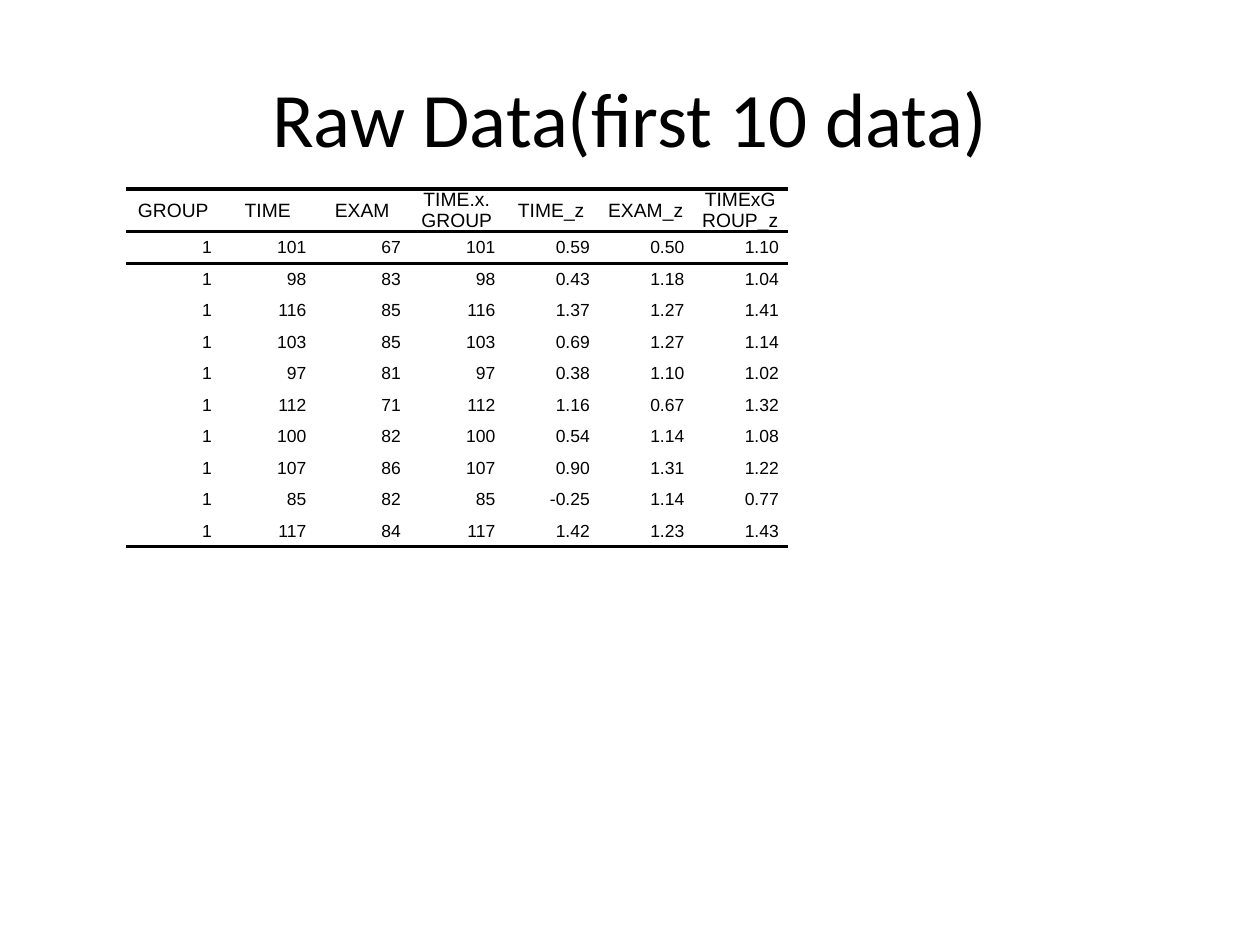
from lxml.etree import SubElement
from pptx import Presentation
from pptx.dml.color import RGBColor
from pptx.enum.text import MSO_ANCHOR as Anchor, PP_ALIGN as Align
from pptx.oxml.ns import qn
from pptx.util import Inches, Pt

# Content
TITLE = "Raw Data(first 10 data)"
HEADERS = ["GROUP", "TIME", "EXAM", "TIME.x.GROUP", "TIME_z", "EXAM_z", "TIMExGROUP_z"]
RECORDS = [
    ("1", "101", "67", "101", "0.59", "0.50", "1.10"),
    ("1", "98", "83", "98", "0.43", "1.18", "1.04"),
    ("1", "116", "85", "116", "1.37", "1.27", "1.41"),
    ("1", "103", "85", "103", "0.69", "1.27", "1.14"),
    ("1", "97", "81", "97", "0.38", "1.10", "1.02"),
    ("1", "112", "71", "112", "1.16", "0.67", "1.32"),
    ("1", "100", "82", "100", "0.54", "1.14", "1.08"),
    ("1", "107", "86", "107", "0.90", "1.31", "1.22"),
    ("1", "85", "82", "85", "-0.25", "1.14", "0.77"),
    ("1", "117", "84", "117", "1.42", "1.23", "1.43"),
]

# Look and grid
BLACK = "000000"
COLUMN_WIDTH, ROW_HEIGHT = 0.75, 0.25
TABLE_LEFT, TABLE_TOP = 1, 1.5
TEXT_MARGIN = Inches(0.07)
RULE_WIDTH = Pt(2)
NO_STYLE = "{2D5ABB26-0587-4C30-8999-92F81FD0307C}"


def set_font(paragraph, name, size, color=BLACK):
    font = paragraph.font
    font.name, font.size = name, Pt(size)
    font.color.rgb = RGBColor.from_string(color)


def add_rule(cell, side, color=BLACK):
    line = SubElement(cell._tc.get_or_add_tcPr(), qn(f"a:{side}"), w=str(RULE_WIDTH))
    SubElement(SubElement(line, qn("a:solidFill")), qn("a:srgbClr"), val=color)


def fill_cell(cell, text, size, alignment, rules):
    cell.margin_left = cell.margin_right = cell.margin_top = cell.margin_bottom = 0
    cell.vertical_anchor = Anchor.MIDDLE
    for side in rules:
        add_rule(cell, side)
    cell.fill.background()
    cell.text = text
    paragraph = cell.text_frame.paragraphs[0]
    paragraph.alignment = alignment
    paragraph.space_before = paragraph.space_after = Pt(2)
    properties = paragraph._p.get_or_add_pPr()
    for margin in ("marL", "marR"):
        properties.set(margin, str(TEXT_MARGIN))
    set_font(paragraph, "Arial", size)


presentation = Presentation()
presentation.slide_width, presentation.slide_height = Inches(10), Inches(7.5)
slide = presentation.slides.add_slide(presentation.slide_layouts[5])

# Title
title = slide.shapes.title
title.left, title.top = Inches(0.5), Inches(0.3)
title.width, title.height = Inches(9), Inches(1.25)
title.text_frame.text = TITLE
title.text_frame.vertical_anchor = Anchor.MIDDLE
heading = title.text_frame.paragraphs[0]
heading.alignment = Align.CENTER
set_font(heading, "Calibri", 44)

# Table with rules above and below the header and under the last record
rows = [HEADERS, *RECORDS]
frame = slide.shapes.add_table(
    len(rows), len(HEADERS), Inches(TABLE_LEFT), Inches(TABLE_TOP),
    Inches(COLUMN_WIDTH * len(HEADERS)), Inches(ROW_HEIGHT * len(rows)))
table = frame.table
table.first_row = table.horz_banding = False
table._tbl.tblPr.find(qn("a:tableStyleId")).text = NO_STYLE

RULES = {0: ("lnT", "lnB"), 1: ("lnT",), len(rows) - 1: ("lnB",)}
for row_index, values in enumerate(rows):
    size, alignment = (10, Align.RIGHT) if row_index else (11, Align.CENTER)
    for column_index, text in enumerate(values):
        fill_cell(table.cell(row_index, column_index), text, size, alignment,
                  RULES.get(row_index, ()))

presentation.save("out.pptx")
